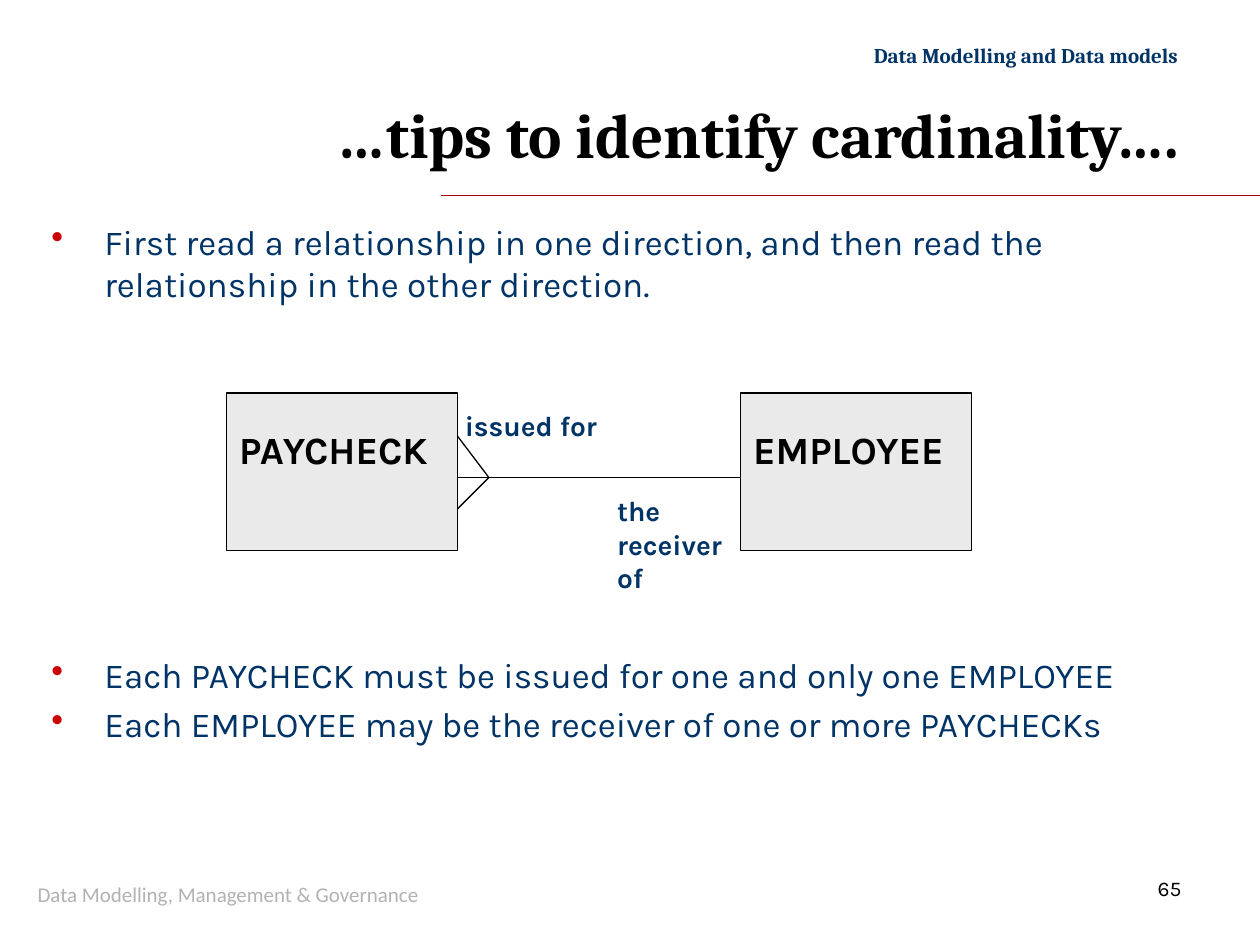
from lxml.etree import SubElement
from pptx import Presentation
from pptx.dml.color import RGBColor
from pptx.enum.shapes import MSO_CONNECTOR, MSO_SHAPE
from pptx.enum.text import MSO_ANCHOR, PP_ALIGN
from pptx.oxml.ns import qn
from pptx.util import Inches, Pt

NAVY = RGBColor(0x00, 0x33, 0x66)
BLACK = RGBColor(0x00, 0x00, 0x00)
GREY = RGBColor(0xB2, 0xB2, 0xB2)
ENTITY_FILL = RGBColor(0xEA, 0xEA, 0xEA)
RULE_RED = RGBColor(0xA8, 0x00, 0x00)
BULLET_RED = RGBColor(0xCC, 0x00, 0x00)

# lines, (left, top, width, height), font, size, colour, extra options
LABELS = [
    (["Data Modelling and Data models"], (6.75, 0.29, 2.7, 0.3), "Cambria", 12, NAVY,
     dict(bold=True, align=PP_ALIGN.RIGHT, wrap=False)),
    (["…tips to identify cardinality…."], (1.79, 0.68, 7.67, 0.75), "Cambria", 36, BLACK,
     dict(bold=True, align=PP_ALIGN.RIGHT, anchor=MSO_ANCHOR.MIDDLE)),
    (["issued for"], (3.59, 3.19, 1.31, 0.37), "Karla", 16, NAVY,
     dict(bold=True, wrap=False)),
    (["the", "receiver", "of"], (4.8, 3.87, 1.17, 0.9), "Karla", 16, NAVY,
     dict(bold=True, wrap=False)),
    (["Data Modelling, Management & Governance"], (0.2, 6.9, 4.41, 0.4), "Calibri", 12, GREY,
     dict(anchor=MSO_ANCHOR.MIDDLE)),
    (["65"], (9.09, 6.9, 0.63, 0.3), "Karla", 12, BLACK, {}),
]
BULLET_GROUPS = [
    (["First read a relationship in one direction, and then read the "
      "relationship in the other direction."], (0.31, 1.7, 9.53, 0.85)),
    (["Each PAYCHECK must be issued for one and only one EMPLOYEE",
      "Each EMPLOYEE may be the receiver of one or more PAYCHECKs"], (0.31, 5.14, 9.53, 0.9)),
]
BULLET_INDENT = 0.42

ENTITIES = [("PAYCHECK", 1.8), ("EMPLOYEE", 5.88)]
ENTITY_TOP, ENTITY_WIDTH, ENTITY_HEIGHT = 3.12, 1.83, 1.25
NAME_LIFT = 0.41  # bottom inset that raises the name above the middle

RELATION_Y = 3.79
PAYCHECK_EDGE = ENTITIES[0][1] + ENTITY_WIDTH
EMPLOYEE_EDGE = ENTITIES[1][1]
RELATION_SPLIT = EMPLOYEE_EDGE - 1
FOOT_TIP = PAYCHECK_EDGE + 0.25
RELATION_LINES = [
    ((EMPLOYEE_EDGE, RELATION_Y), (RELATION_SPLIT, RELATION_Y)),
    ((RELATION_SPLIT, RELATION_Y), (PAYCHECK_EDGE, RELATION_Y)),
    ((FOOT_TIP, RELATION_Y), (PAYCHECK_EDGE, 3.46)),
    ((FOOT_TIP, RELATION_Y), (PAYCHECK_EDGE, 4.04)),
]


def write(frame, lines, font, size, color, bold=False, align=PP_ALIGN.LEFT,
          anchor=MSO_ANCHOR.TOP, wrap=True):
    frame.text = "\n".join(lines)
    frame.word_wrap = wrap
    frame.vertical_anchor = anchor
    for paragraph in frame.paragraphs:
        paragraph.alignment = align
        for run in paragraph.runs:
            run.font.name = font
            run.font.size = Pt(size)
            run.font.bold = bold
            run.font.color.rgb = color


def add_text(slide, lines, box, font, size, color, **options):
    frame = slide.shapes.add_textbox(*map(Inches, box)).text_frame
    write(frame, lines, font, size, color, **options)
    return frame


def add_bullets(slide, lines, box):
    frame = add_text(slide, lines, box, "Karla", 20, NAVY)
    for paragraph in frame.paragraphs:
        paragraph.space_before = Pt(4)
        properties = paragraph._p.get_or_add_pPr()
        properties.set("marL", str(Inches(BULLET_INDENT)))
        properties.set("indent", str(-Inches(BULLET_INDENT)))
        bullet_color = SubElement(properties, qn("a:buClr"))
        SubElement(bullet_color, qn("a:srgbClr"), val=str(BULLET_RED))
        SubElement(properties, qn("a:buChar"), char="•")


def add_line(slide, start, end, color):
    line = slide.shapes.add_connector(MSO_CONNECTOR.STRAIGHT, *map(Inches, start + end))
    line.line.color.rgb = color
    line.line.width = Pt(0.75)
    SubElement(line._element.spPr, qn("a:effectLst"))


def add_entity(slide, name, left):
    entity = slide.shapes.add_shape(
        MSO_SHAPE.RECTANGLE,
        *map(Inches, (left, ENTITY_TOP, ENTITY_WIDTH, ENTITY_HEIGHT)))
    entity.shadow.inherit = False
    entity.fill.solid()
    entity.fill.fore_color.rgb = ENTITY_FILL
    entity.line.color.rgb = BLACK
    entity.line.width = Pt(0.75)
    write(entity.text_frame, [name], "Karla", 22, BLACK, bold=True, anchor=MSO_ANCHOR.MIDDLE)
    entity.text_frame.margin_bottom = Inches(NAME_LIFT)


def main():
    deck = Presentation()
    deck.slide_width, deck.slide_height = Inches(10), Inches(7.5)
    slide = deck.slides.add_slide(deck.slide_layouts[6])

    add_line(slide, (3.5, 1.55), (10, 1.55), RULE_RED)
    for lines, box in BULLET_GROUPS:
        add_bullets(slide, lines, box)
    for name, left in ENTITIES:
        add_entity(slide, name, left)
    for start, end in RELATION_LINES:
        add_line(slide, start, end, BLACK)
    for lines, box, font, size, color, options in LABELS:
        add_text(slide, lines, box, font, size, color, **options)

    deck.save("out.pptx")


if __name__ == "__main__":
    main()
